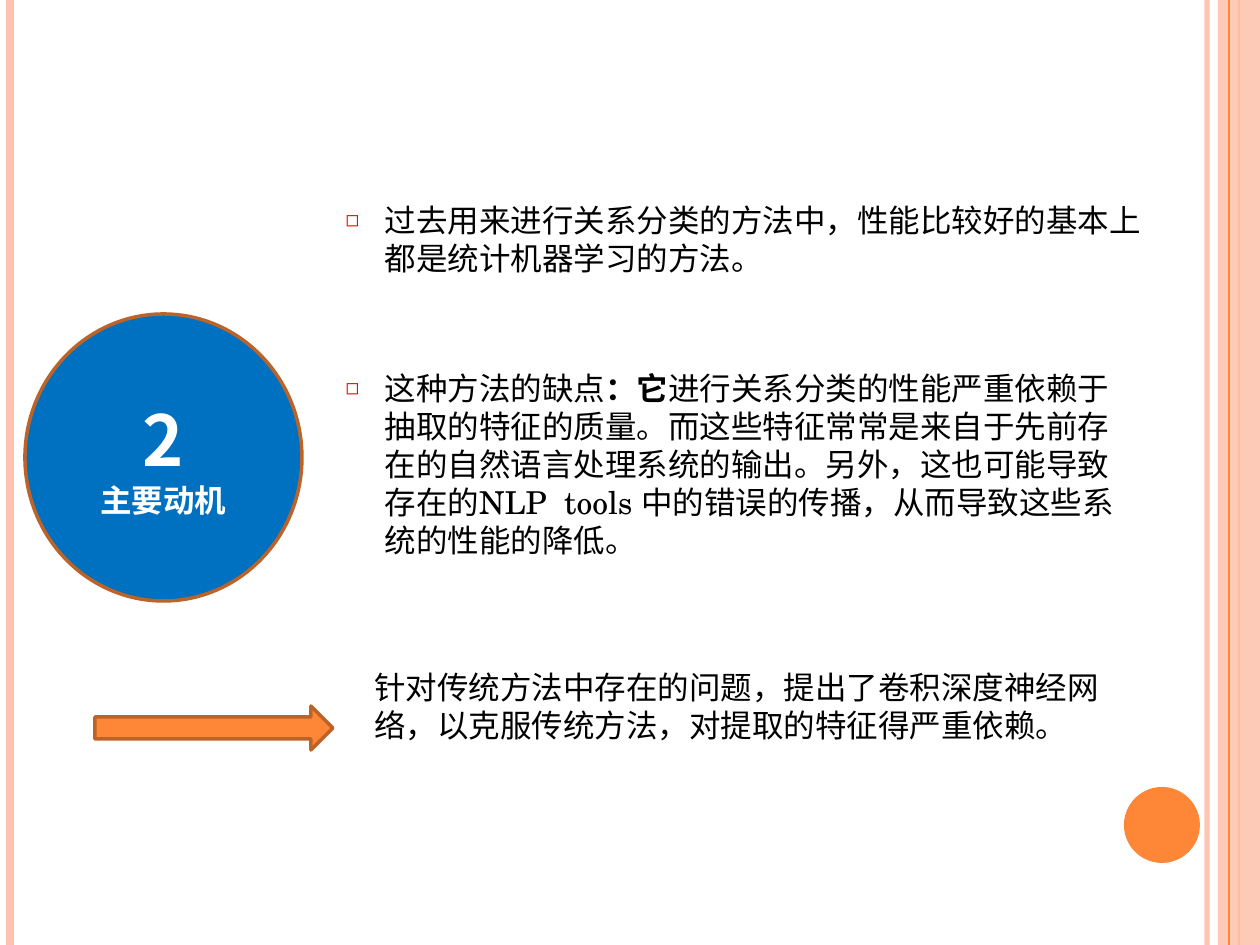
from dataclasses import dataclass

from lxml.etree import SubElement
from pptx import Presentation
from pptx.dml.color import RGBColor
from pptx.enum.shapes import MSO_CONNECTOR, MSO_SHAPE
from pptx.enum.text import MSO_ANCHOR, MSO_AUTO_SIZE, PP_ALIGN
from pptx.oxml.ns import qn
from pptx.util import Emu, Pt


@dataclass(frozen=True)
class Theme:
    orange: str = "FE8637"
    outline: str = "BC6329"
    peach: str = "FEC3AE"
    blue: str = "0070C0"
    bullet: str = "FF0000"
    ink: str = "000000"
    white: str = "FFFFFF"
    font: str = "TeX Gyre Schola"
    number_font: str = "Noto Sans CJK SC"
    text_size: int = 18
    number_size: int = 40
    outline_width: int = 2


THEME = Theme()
SCALE = 914400 / 126
WIDTH, HEIGHT = 1260, 945


def px(length):
    return Emu(round(length * SCALE))


def set_alpha(fill_owner, percent):
    color = next(fill_owner.iter(qn("a:srgbClr")))
    SubElement(color, qn("a:alpha"), val=str(percent * 1000))


def add_text(paragraph, text, size=THEME.text_size, font=THEME.font,
             color=THEME.ink, bold=False):
    run = paragraph.add_run()
    run.text = text
    run.font.size = Pt(size)
    run.font.bold = bold
    run.font.name = font
    run.font.color.rgb = RGBColor.from_string(color)
    SubElement(run.font._element, qn("a:ea"), typeface=font)


def add_figure(slide, kind, box, fill, outline=None):
    figure = slide.shapes.add_shape(kind, *map(px, box))
    figure.shadow.inherit = False
    figure.fill.solid()
    figure.fill.fore_color.rgb = RGBColor.from_string(fill)
    if outline:
        figure.line.color.rgb = RGBColor.from_string(outline)
        figure.line.width = Pt(THEME.outline_width)
    else:
        figure.line.fill.background()
    return figure


def add_stripe(slide, x, color, width, alpha=None):
    stripe = slide.shapes.add_connector(
        MSO_CONNECTOR.STRAIGHT, px(x), 0, px(x), px(HEIGHT))
    stripe.line.color.rgb = RGBColor.from_string(color)
    stripe.line.width = Pt(width)
    properties = stripe._element.spPr
    if alpha:
        set_alpha(properties, alpha)
    SubElement(properties, qn("a:effectLst"))


def prepare_frame(frame):
    frame.word_wrap = True
    frame.auto_size = MSO_AUTO_SIZE.NONE
    frame.vertical_anchor = MSO_ANCHOR.TOP
    return frame.paragraphs[0]


def add_frame_decor(slide, left, right):
    # Stripes and side band, measured from the slide's edges
    add_stripe(slide, right - 53, THEME.peach, 3, alpha=93)
    add_stripe(slide, left + 10, THEME.peach, 4.5)
    add_stripe(slide, right - 21, THEME.orange, 1.5)
    band = add_figure(slide, MSO_SHAPE.RECTANGLE,
                      (right - 42, 0, 42, HEIGHT), THEME.peach)
    set_alpha(band._element.spPr, 87)
    add_stripe(slide, right - 31, THEME.orange, 0.75)
    # Corner dot
    add_figure(slide, MSO_SHAPE.OVAL, (right - 136, 787, 76, 76), THEME.orange)


def add_section_badge(slide, box, number, heading):
    badge = add_figure(slide, MSO_SHAPE.OVAL, box, THEME.blue, THEME.outline)
    frame = badge.text_frame
    frame.word_wrap = True
    frame.vertical_anchor = MSO_ANCHOR.MIDDLE
    number_line, heading_line = frame.paragraphs[0], frame.add_paragraph()
    number_line.alignment = heading_line.alignment = PP_ALIGN.CENTER
    add_text(number_line, number, size=THEME.number_size,
             font=THEME.number_font, color=THEME.white, bold=True)
    add_text(heading_line, heading, color=THEME.white, bold=True)


def fill_point(body, box, parts):
    body.left, body.top, body.width, body.height = map(px, box)
    point = prepare_frame(body.text_frame)
    point.space_before = Pt(0)
    # Hanging indent and hollow square bullet
    properties = point._element.get_or_add_pPr()
    indent = px(39)
    properties.set("marL", str(indent))
    properties.set("indent", str(-indent))
    bullet_color = SubElement(properties, qn("a:buClr"))
    SubElement(bullet_color, qn("a:srgbClr"), val=THEME.bullet)
    SubElement(properties, qn("a:buSzPct"), val="70000")
    SubElement(properties, qn("a:buChar"), char="◻")
    for text, bold in parts:
        add_text(point, text, bold=bold)


def add_conclusion(slide, box, text):
    left, top, width, height = box
    # Arrow leading to the statement
    add_figure(slide, MSO_SHAPE.RIGHT_ARROW, (left, top + 44, 238, 44),
               THEME.orange, THEME.outline)
    statement = slide.shapes.add_textbox(
        px(left + 267), px(top), px(width - 267), px(height))
    add_text(prepare_frame(statement.text_frame), text)


POINTS = [
    ((333, 195, 833, 127), [
        ("过去用来进行关系分类的方法中，性能比较好的基本上都是统计机器学习的方法。", False),
    ]),
    ((333, 363, 794, 204), [
        ("这种方法的缺点", False),
        ("：它", True),
        ("进行关系分类的性能严重依赖于抽取的特征的质量。而这些特征常常是来自于先前存在的"
         "自然语言处理系统的输出。另外，这也可能导致存在的NLP  tools 中的错误的传播，"
         "从而导致这些系统的性能的降低。", False),
    ]),
]

presentation = Presentation()
presentation.slide_width, presentation.slide_height = px(WIDTH), px(HEIGHT)
two_content = presentation.slide_layouts.get_by_name("Two Content")
slide = presentation.slides.add_slide(two_content)
title, *bodies = slide.placeholders
title._element.getparent().remove(title._element)

add_frame_decor(slide, 0, WIDTH)
add_section_badge(slide, (25, 314, 277, 287), "2", "主要动机")
for body, (box, parts) in zip(bodies, POINTS):
    fill_point(body, box, parts)
add_conclusion(slide, (95, 662, 1030, 89),
               "针对传统方法中存在的问题，提出了卷积深度神经网络，以克服传统方法，"
               "对提取的特征得严重依赖。")

presentation.save("out.pptx")
